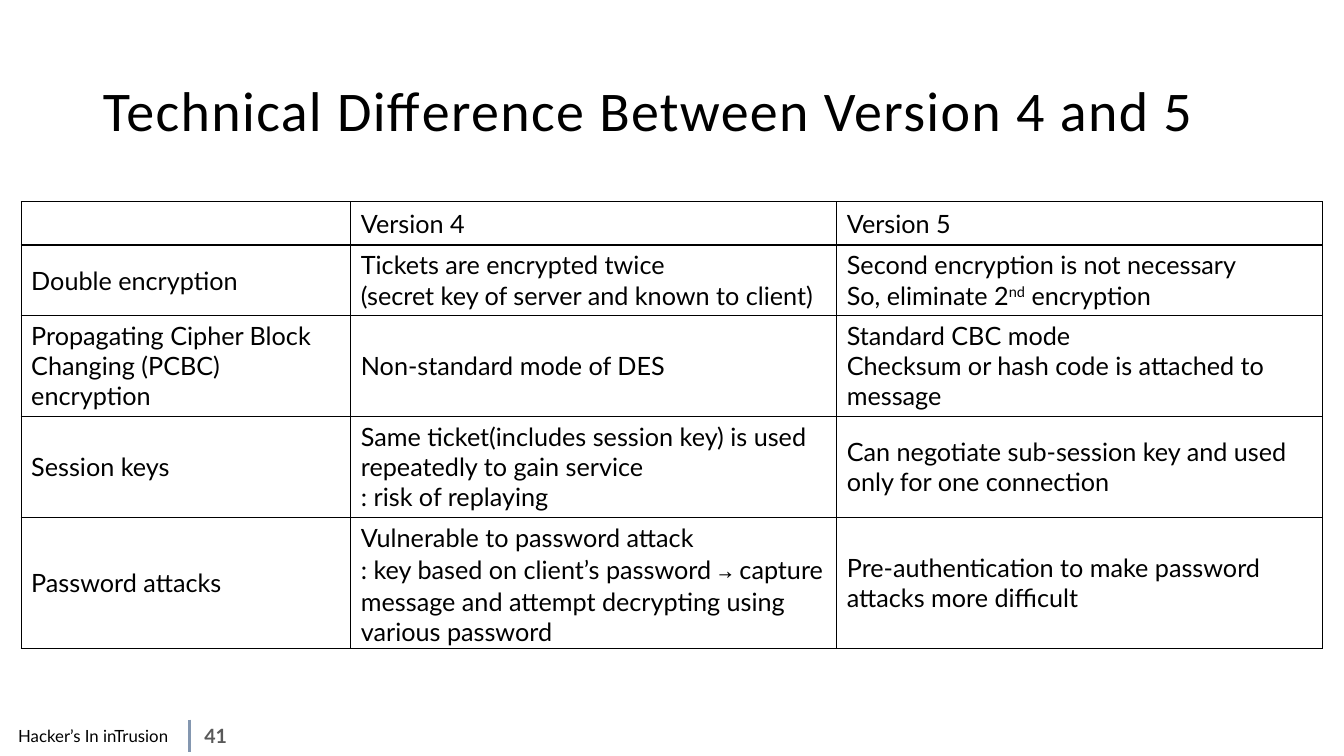
from lxml import etree
from pptx import Presentation
from pptx import util as u
from pptx.dml import color
from pptx.enum import shapes, text
from pptx.oxml import ns

COLORS = {"ink": "000000", "number": "595959", "divider": "8497B0"}

ARROW_LINE = [
    ": key based on client’s password ",
    ("→", {"font": "Noto Sans Mono"}),
    " capture message and attempt decrypting using various password",
]
SECOND_LINE = ["So, eliminate 2", ("nd", {"baseline": 30}), " encryption"]

COMPARISON = [
    [[], ["Version 4"], ["Version 5"]],
    [
        ["Double encryption"],
        ["Tickets are encrypted twice", "(secret key of server and known to client)"],
        ["Second encryption is not necessary", SECOND_LINE],
    ],
    [
        ["Propagating Cipher Block Changing (PCBC) encryption"],
        ["Non-standard mode of DES"],
        ["Standard CBC mode", "Checksum or hash code is attached to message"],
    ],
    [
        ["Session keys"],
        [
            "Same ticket(includes session key) is used repeatedly to gain service",
            ": risk of replaying",
        ],
        ["Can negotiate sub-session key and used only for one connection"],
    ],
    [
        ["Password attacks"],
        ["Vulnerable to password attack", ARROW_LINE],
        ["Pre-authentication to make password attacks more difficult"],
    ],
]


def rgb(name):
    return color.RGBColor.from_string(COLORS[name])


def add_run(paragraph, content, size=18, font="Lato", fill="ink", bold=False,
            baseline=0, spacing=0):
    run = paragraph.add_run()
    run.text = content
    run.font.size = u.Pt(size)
    run.font.name = font
    run.font.bold = bold
    run.font.color.rgb = rgb(fill)
    properties = run.font._element
    if baseline:
        properties.set("baseline", str(baseline * 1000))
    if spacing:
        properties.set("spc", str(spacing * 100))


class SlideBuilder:
    def __init__(self, slide):
        self.slide = slide

    def place(self, shape, left, top, width, height):
        shape.left, shape.top = u.Inches(left), u.Inches(top)
        shape.width, shape.height = u.Inches(width), u.Inches(height)

    def title(self, content, box):
        shape = self.slide.shapes.title
        self.place(shape, *box)
        frame = shape.text_frame
        frame.word_wrap = True
        frame.vertical_anchor = text.MSO_ANCHOR.MIDDLE
        paragraph = frame.paragraphs[0]
        paragraph.alignment = text.PP_ALIGN.LEFT
        paragraph.line_spacing = 0.9
        add_run(paragraph, content, size=40, font="Calibri", spacing=1)

    def label(self, content, box, **style):
        shape = self.slide.shapes.add_textbox(*map(u.Inches, box))
        frame = shape.text_frame
        frame.word_wrap = True
        frame.vertical_anchor = text.MSO_ANCHOR.MIDDLE
        paragraph = frame.paragraphs[0]
        paragraph.alignment = text.PP_ALIGN.CENTER
        add_run(paragraph, content, **style)

    def divider(self, x, top, bottom):
        line = self.slide.shapes.add_connector(
            shapes.MSO_CONNECTOR.STRAIGHT, *map(u.Inches, (x, top, x, bottom)))
        line.line.color.rgb = rgb("divider")
        line.line.width = u.Pt(2.25)
        etree.SubElement(line._element.spPr, ns.qn("a:effectLst"))

    def table(self, rows, left, top, widths, row_height):
        box = (left, top, sum(widths), row_height * len(rows))
        table = self.slide.shapes.add_table(
            len(rows), len(widths), *map(u.Inches, box)).table
        table.first_row = table.horz_banding = False
        for column, width in zip(table.columns, widths):
            column.width = u.Inches(width)
        for row, contents in zip(table.rows, rows):
            row.height = u.Inches(row_height)
            for cell, paragraphs in zip(row.cells, contents):
                self.cell(cell, paragraphs)

    def cell(self, cell, paragraphs):
        cell.vertical_anchor = text.MSO_ANCHOR.MIDDLE
        self.borders(cell)
        cell.fill.background()
        frame = cell.text_frame
        for index, pieces in enumerate(paragraphs):
            paragraph = frame.add_paragraph() if index else frame.paragraphs[0]
            for piece in [pieces] if isinstance(pieces, str) else pieces:
                content, style = (piece, {}) if isinstance(piece, str) else piece
                add_run(paragraph, content, **style)

    def borders(self, cell):
        properties = cell._tc.get_or_add_tcPr()
        for side in ("lnL", "lnR", "lnT", "lnB"):
            line = etree.SubElement(properties, ns.qn(f"a:{side}"), w=str(u.Pt(1)))
            fill = etree.SubElement(line, ns.qn("a:solidFill"))
            etree.SubElement(fill, ns.qn("a:srgbClr"), val=COLORS["ink"])


def main():
    presentation = Presentation()
    presentation.slide_width = u.Inches(13.33)
    presentation.slide_height = u.Inches(7.5)
    slide = presentation.slides.add_slide(presentation.slide_layouts[5])
    builder = SlideBuilder(slide)
    builder.divider(1.88, 7.14, 7.46)
    builder.label("Hacker’s In inTrusion", (0, 7.13, 1.85, 0.34), size=12)
    builder.label("41", (1.85, 7.13, 0.58, 0.34), size=14, fill="number", bold=True)
    builder.title("Technical Difference Between Version 4 and 5", (0.92, 0.4, 11.5, 1.45))
    builder.table(COMPARISON, 0.21, 2, (3.27, 4.82, 4.82), 0.43)
    presentation.save("out.pptx")


if __name__ == "__main__":
    main()
